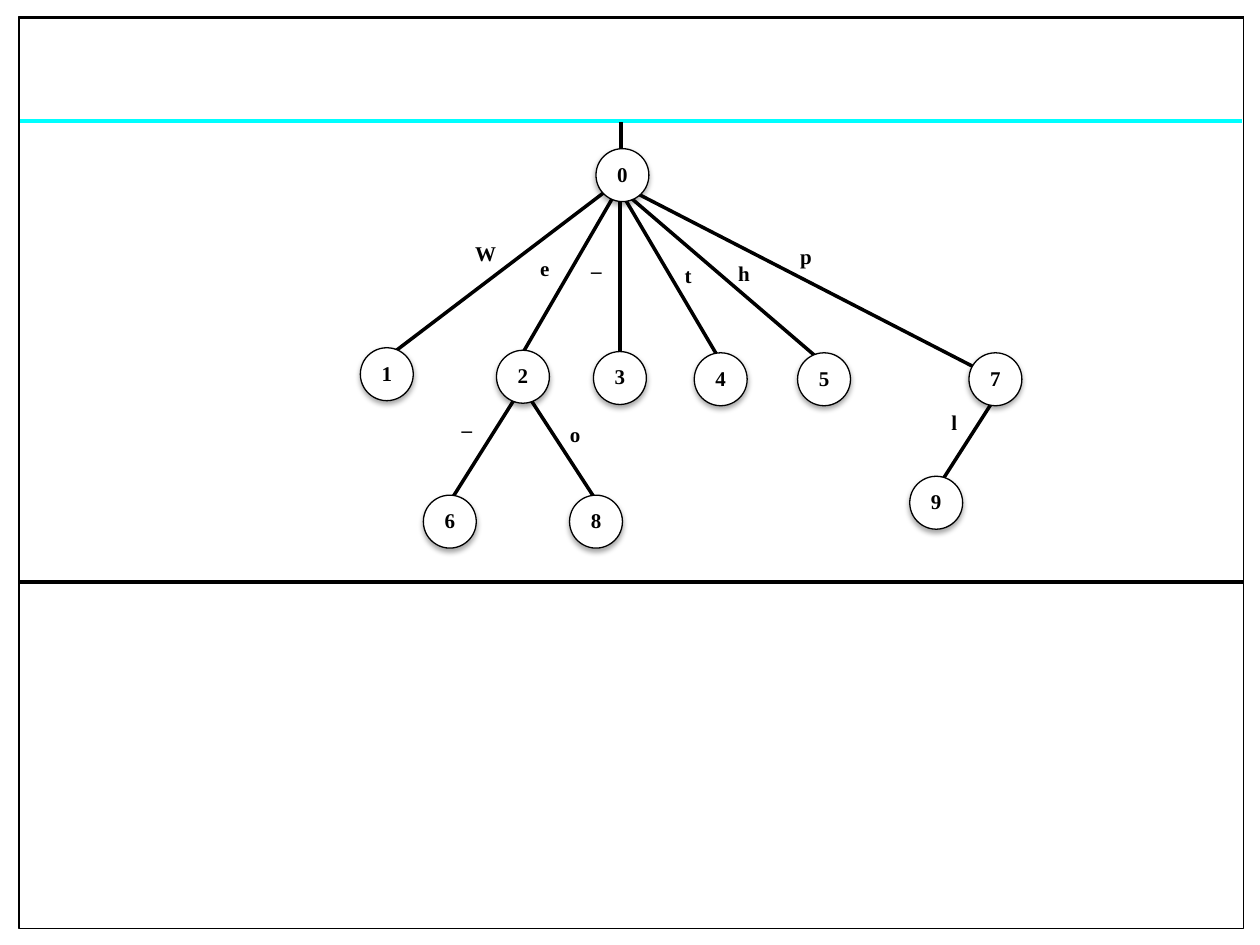
"""Build a slide with a labelled trie of ten numbered nodes."""
import pptx
import pptx.dml.color
import pptx.enum.shapes
import pptx.enum.text
import pptx.oxml
import pptx.oxml.ns
import pptx.util
from lxml import etree

Pt = pptx.util.Pt
color = pptx.dml.color.RGBColor.from_string
BLACK, WHITE, CYAN = "000000", "FFFFFF", "00FFFF"
NODE_SIZE, LABEL_WIDTH, TEXT_HEIGHT, TEXT_DROP = 30.24, 38.16, 21.6, 3.6
SHADOW = (
    f'<a:effectLst {pptx.oxml.ns.nsdecls("a")}>'
    '<a:outerShdw blurRad="39370" dist="22860" dir="5400000" rotWithShape="0">'
    '<a:srgbClr val="000000"><a:alpha val="35000"/></a:srgbClr>'
    '</a:outerShdw></a:effectLst>'
)

rules = [
    (11.5, 10, 710.6, 10, BLACK),
    (11.5, 69, 710, 69, CYAN),
    (11.5, 332.6, 710.6, 332.6, BLACK),
]
branches = [
    (355, 99.4, 355, 69.8),
    (221.8, 203.8, 347.8, 108),
    (568.8, 216, 347.8, 102.2),
    (293.8, 210.2, 356.4, 102.2),
    (473.8, 210.2, 347.8, 102.2),
    (354.2, 210.2, 354.2, 102.2),
    (414, 210.2, 354.2, 108.7),
    (533.5, 282.2, 569.5, 226),
    (256.3, 288, 298, 221.8),
    (342, 288, 298, 220.3),
]
nodes = {
    "0": (340.56, 84.96),
    "1": (205.92, 198.72),
    "2": (283.68, 200.16),
    "3": (339.12, 200.88),
    "4": (396.72, 201.6),
    "5": (455.76, 201.6),
    "6": (241.92, 282.96),
    "7": (553.68, 201.6),
    "8": (325.44, 282.96),
    "9": (519.84, 272.16),
}
edge_labels = [
    ("W", 258.5, 133.9),
    ("e", 292.3, 142.6),
    ("_", 321.8, 139.7),
    ("t", 374.1, 146.2),
    ("h", 406.1, 145.4),
    ("p", 441.4, 135.4),
    ("_", 247.7, 230.4),
    ("o", 309.6, 237.6),
    ("l", 526.3, 230.4),
]

deck = pptx.Presentation()
deck.slide_width, deck.slide_height = Pt(720), Pt(540)
page = deck.slides.add_slide(deck.slide_layouts[6])


def add_line(start_x, start_y, end_x, end_y, line_color):
    line = page.shapes.add_connector(
        pptx.enum.shapes.MSO_CONNECTOR.STRAIGHT,
        Pt(start_x), Pt(start_y), Pt(end_x), Pt(end_y))
    line.line.color.rgb = color(line_color)
    line.line.width = Pt(2)
    etree.SubElement(line._element.spPr, pptx.oxml.ns.qn("a:effectLst"))


def add_text(text, left, top, width):
    box = page.shapes.add_textbox(Pt(left), Pt(top), Pt(width), Pt(TEXT_HEIGHT))
    box.text_frame.word_wrap = True
    para = box.text_frame.paragraphs[0]
    para.text = text
    para.alignment = pptx.enum.text.PP_ALIGN.CENTER
    para.font.name = "Times New Roman"
    para.font.size = Pt(12)
    para.font.bold = True
    para.font.color.rgb = color(BLACK)


frame = page.shapes.add_shape(
    pptx.enum.shapes.MSO_SHAPE.RECTANGLE, Pt(10.8), Pt(9.4), Pt(699.8), Pt(521.3))
frame.shadow.inherit = False
frame.fill.background()
frame.line.color.rgb = color(BLACK)
frame.line.width = Pt(0.75)

for rule in rules:
    add_line(*rule)
for branch in branches:
    add_line(*branch, BLACK)

for number, (left, top) in nodes.items():
    node = page.shapes.add_shape(
        pptx.enum.shapes.MSO_SHAPE.OVAL,
        Pt(left), Pt(top), Pt(NODE_SIZE), Pt(NODE_SIZE))
    node.fill.solid()
    node.fill.fore_color.rgb = color(WHITE)
    node.line.color.rgb = color(BLACK)
    node.line.width = Pt(0.75)
    node._element.spPr.append(pptx.oxml.parse_xml(SHADOW))
    add_text(number, left, top + TEXT_DROP, NODE_SIZE)

for letter, left, top in edge_labels:
    add_text(letter, left, top, LABEL_WIDTH)

deck.save("out.pptx")
